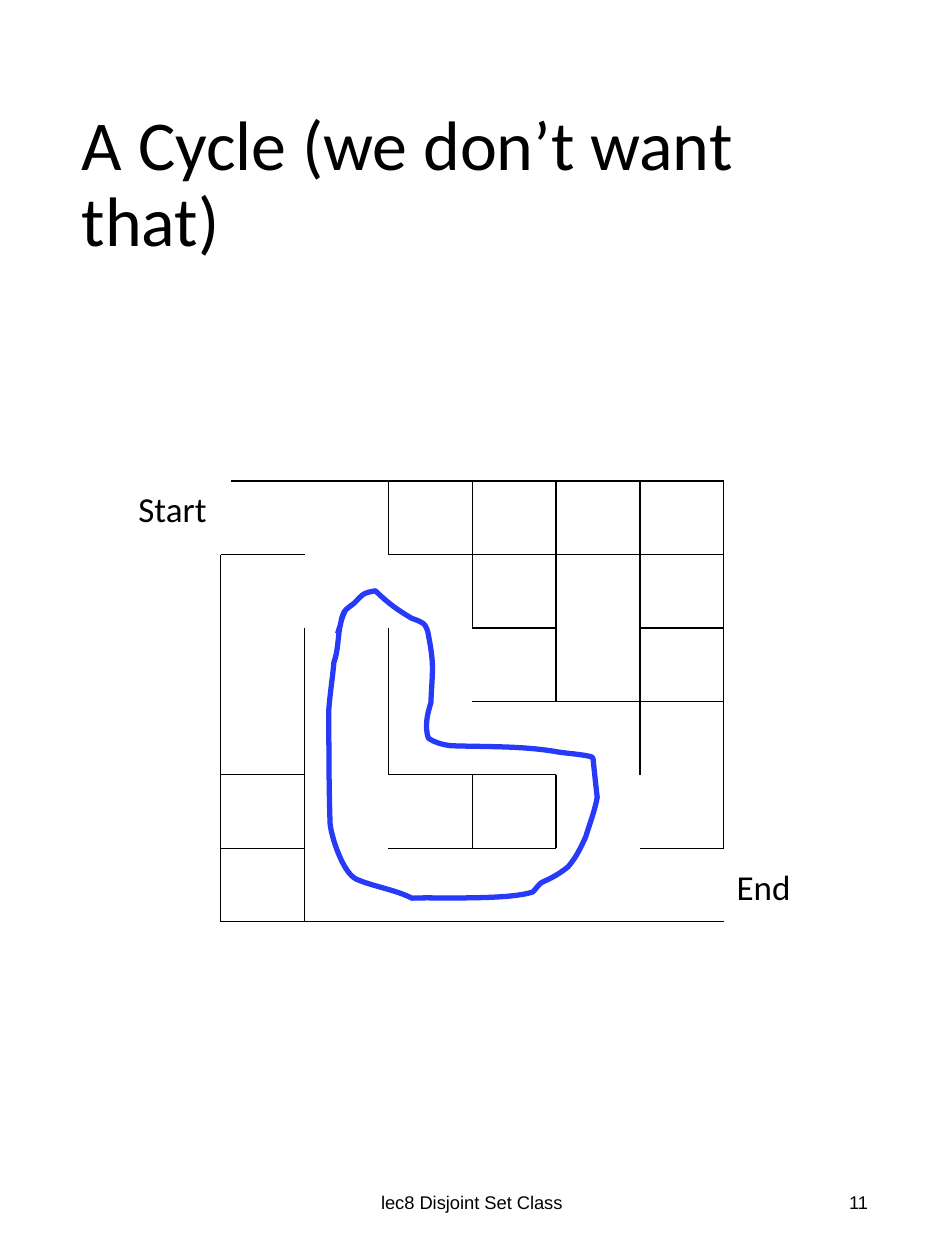
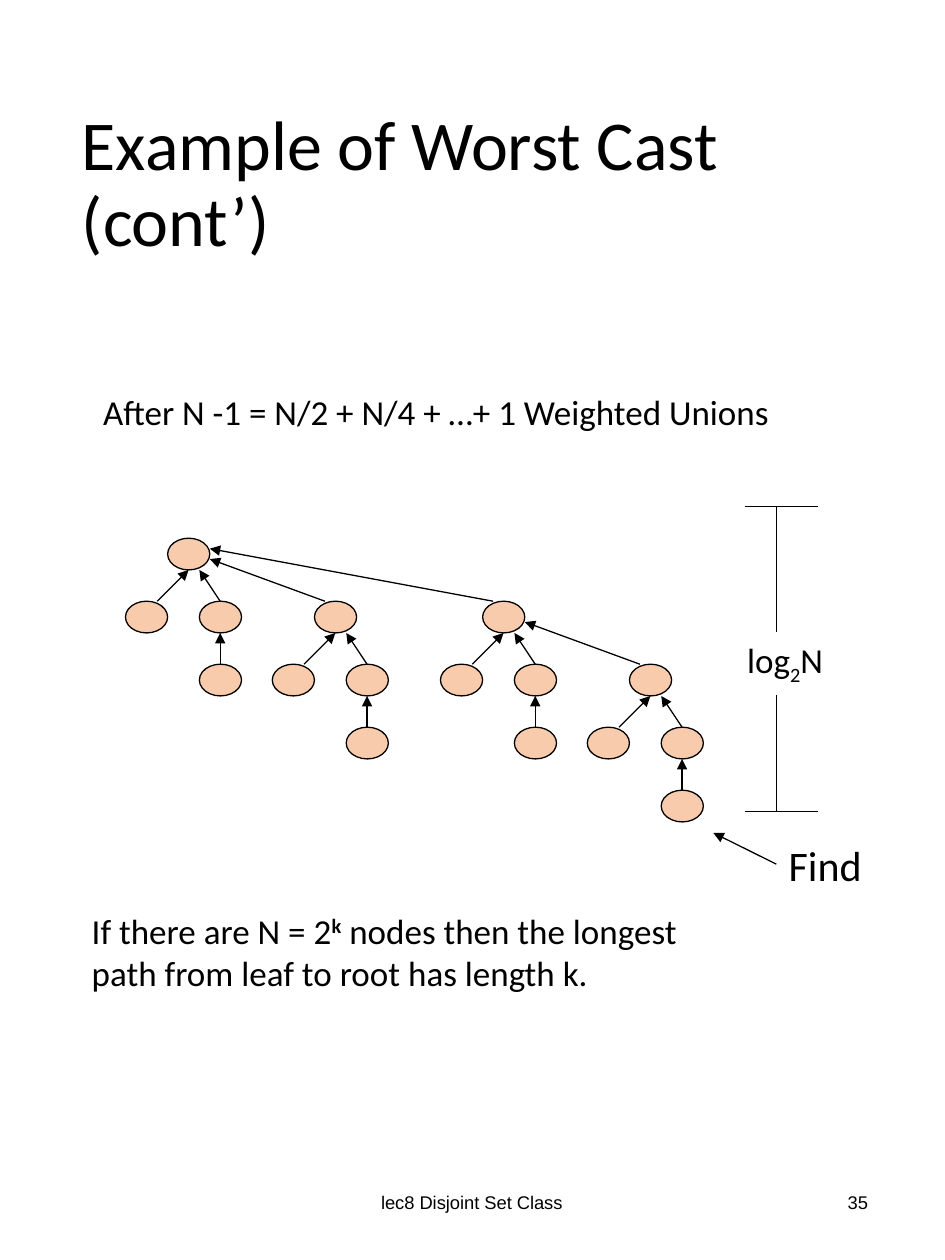
from pptx import Presentation
from pptx.dml.color import RGBColor as Rgb
from pptx.enum.shapes import MSO_CONNECTOR as Wire, MSO_SHAPE as Kind
from pptx.enum.text import MSO_ANCHOR as Anchor, MSO_AUTO_SIZE as Fit, PP_ALIGN as Align
from pptx.oxml.ns import qn
from pptx.util import Cm, Pt
from lxml.etree import SubElement as Sub

BLACK, PEACH, BLUE = "000000", "F8CBAD", "263AF8"
SANS, PLAIN = "Calibri", "Arial"
CELL_W, CELL_H = 1.69, 1.48
FLAT = ["12345", "02345", "35", "345", "023", "0235", "5"]
TALL = ["23456", "3456", "12456", "1256", "1346", "1"]
NODE_W, NODE_H, STEP = 0.85, 0.64, 1.27
STEM = (0, 0.42, 0.42, 0.64)
LINKS = [(-0.85, 0.64, 0.42, 0.64), (0.64, 0.42, 0.64, 0.64),
         (2.96, 0.21, 0.85, 0.42), (6.35, 0.21, 0.85, 0.21)]
LOOP = [
    (13, 16), (6, 29), (9, 43), (4, 57), (3, 69), (1, 81), (0, 94),
    (0, 124), (0, 155), (1, 185), (2, 195), (11, 224), (22, 229),
    (36, 235), (52, 237), (66, 244), (79, 243), (142, 246), (162, 239),
    (165, 236), (167, 232), (170, 231), (177, 228), (184, 224), (190, 219),
    (196, 212), (200, 204), (204, 195), (207, 185), (211, 175), (213, 164),
    (212, 155), (211, 146), (210, 136), (210, 135), (210, 133), (209, 132),
    (203, 130), (188, 129), (182, 128), (154, 123), (126, 124), (97, 123),
    (90, 122), (85, 121), (79, 117), (76, 108), (78, 98), (81, 89),
    (82, 64), (84, 60), (79, 35), (79, 33), (77, 27), (75, 26),
    (72, 24), (69, 23), (66, 22), (54, 15), (46, 9), (37, 0),
    (26, 2), (27, 3), (20, 10), (19, 11), (17, 12), (16, 13),
    (14, 14), (13, 16), (12, 17), (9, 25), (11, 19), (9, 28),
    (8, 30), (7, 34), (7, 34)]


def ink(code):
    """Turn a hex string into a colour."""
    return Rgb.from_string(code)


def style(run, size, face=SANS):
    """Give a run its font, size and colour."""
    run.font.name, run.font.size = face, Pt(size)
    run.font.color.rgb = ink(BLACK)


def label(slide, box, text, size=20, face=SANS, wrap=False):
    """Place a text box and return its frame."""
    frame = slide.shapes.add_textbox(*map(Cm, box)).text_frame
    frame.text = text
    frame.word_wrap = wrap
    frame.auto_size = Fit.NONE if wrap else Fit.SHAPE_TO_FIT_TEXT
    for par in frame.paragraphs:
        for run in par.runs:
            style(run, size, face)
    return frame


def extend(par, text, lift=0, bold=False):
    """Add a run, raised or lowered by a percentage."""
    run = par.add_run()
    run.text = text
    style(run, 20)
    if bold:
        run.font.bold = True
    if lift:
        run.font._element.set("baseline", str(lift * 1000))


def line(slide, x1, y1, x2, y2, arrow=False):
    """Draw a thin black line, with an arrowhead at its end if asked."""
    wire = slide.shapes.add_connector(Wire.STRAIGHT, *map(Cm, (x1, y1, x2, y2)))
    wire.line.color.rgb, wire.line.width = ink(BLACK), Pt(0.75)
    if arrow:
        Sub(wire.line._get_or_add_ln(), qn("a:tailEnd"), type="triangle")
    Sub(wire._element.spPr, qn("a:effectLst"))


def page(deck, title, number):
    """Add a slide with its title and footer."""
    slide = deck.slides.add_slide(deck.slide_layouts[6])
    foot = label(slide, (6.3, 23.55, 6.43, 1.35), "lec8 Disjoint Set Class", 10.5, PLAIN, True)
    count = label(slide, (13.46, 23.55, 4.29, 1.35), number, 10.5, PLAIN, True)
    head = label(slide, (1.4, 1.3, 16.43, 4.9), title, 40, wrap=True)
    for frame in (foot, count, head):
        frame.vertical_anchor = Anchor.MIDDLE
    foot.paragraphs[0].alignment = Align.CENTER
    count.paragraphs[0].alignment = Align.RIGHT
    head.paragraphs[0].line_spacing = 0.9
    return slide


def loop(slide, left, top):
    """Draw the closed walk as a chain of cubic curves."""
    pen = slide.shapes.build_freeform(*LOOP[0], scale=Cm(2.54) / 100)
    pen.add_line_segments(LOOP[1:], close=False)
    walk = pen.convert_to_shape(Cm(left), Cm(top))
    walk.shadow.inherit = False
    walk.fill.background()
    walk.line.color.rgb, walk.line.width = ink(BLUE), Pt(3)
    legs = list(walk._element.iter(qn("a:lnTo")))
    for first, mid, last in zip(legs[::3], legs[1::3], legs[2::3]):
        curve = Sub(first.getparent(), qn("a:cubicBezTo"))
        for leg in (first, mid, last):
            curve.append(leg[0])
            leg.getparent().remove(leg)


def maze(slide, left, top):
    """Draw the maze walls, the walk and the end labels."""
    def wall(x1, y1, x2, y2):
        """Draw a wall between two grid points."""
        line(slide, left + x1 * CELL_W, top + y1 * CELL_H,
             left + x2 * CELL_W, top + y2 * CELL_H)

    for row, cols in enumerate(FLAT):
        for col in map(int, cols):
            wall(col, row, col + 1, row)
    for row, cols in enumerate(TALL):
        for col in map(int, cols):
            wall(col, row, col, row + 1)
    wall(5, 6, 0, 6)
    wall(0, 6, 0, 1)
    wall(0.12, 0, 1.12, 0)
    label(slide, (left - 1.91, top, 2.16, 1.12), "Start")
    label(slide, (left + 10.15, top + 7.62, 1.8, 1.12), "End")
    loop(slide, left + 2.18, top + 2.21)


def tree(slide, left, top, order):
    """Draw a binomial tree of the given order from its root's corner."""
    node = slide.shapes.add_shape(Kind.OVAL, *map(Cm, (left, top, NODE_W, NODE_H)))
    node.shadow.inherit = False
    node.fill.solid()
    node.fill.fore_color.rgb = ink(PEACH)
    node.line.color.rgb, node.line.width = ink(BLACK), Pt(0.75)
    links = [STEM] if order == 1 else LINKS[:order]
    for rank, (shift, tail, x, y) in enumerate(links):
        tree(slide, left + shift, top + STEP, rank)
        line(slide, left + shift + tail, top + STEP, left + x, top + y, True)


def gauge(slide, left, top, width, height):
    """Draw the height bracket with its label."""
    mid = left + 0.64
    for y in (top, top + height):
        line(slide, left, y, left + width, y)
    line(slide, mid, top, mid, top + 2.54)
    line(slide, mid, top + 3.81, mid, top + height)
    par = label(slide, (left - 0.2, top + 2.54, 2.34, 1.12), "log").paragraphs[0]
    extend(par, "2", -25)
    extend(par, "N")


def worst(slide, left, top):
    """Lay out the worst case tree and its notes."""
    label(slide, (left, top, 16.46, 1.12), "After N -1 = N/2 + N/4 + …+ 1 Weighted Unions")
    tree(slide, left + 1.55, top + 3.1, 4)
    gauge(slide, left + 13.18, top + 2.46, 1.47, 6.15)
    label(slide, (left + 13.82, top + 9.04, 2.29, 1.27), "Find", 24)
    line(slide, left + 13.82, top + 9.67, left + 12.55, top + 9.04, True)
    note = label(slide, (left - 0.23, top + 10.46, 14.25, 1.96),
                 "If there are N = 2\npath from leaf to root has length k.")
    extend(note.paragraphs[0], "k", 30, True)
    extend(note.paragraphs[0], " nodes then the longest")


def main():
    """Build the deck."""
    deck = Presentation()
    deck.slide_width, deck.slide_height = Cm(19.05), Cm(25.4)
    maze(page(deck, "A Cycle (we don’t want that)", "11"), 4.45, 9.7)
    worst(page(deck, "Example of Worst Cast (cont’)", "35"), 1.83, 7.75)
    deck.save("out.pptx")


if __name__ == "__main__":
    main()
